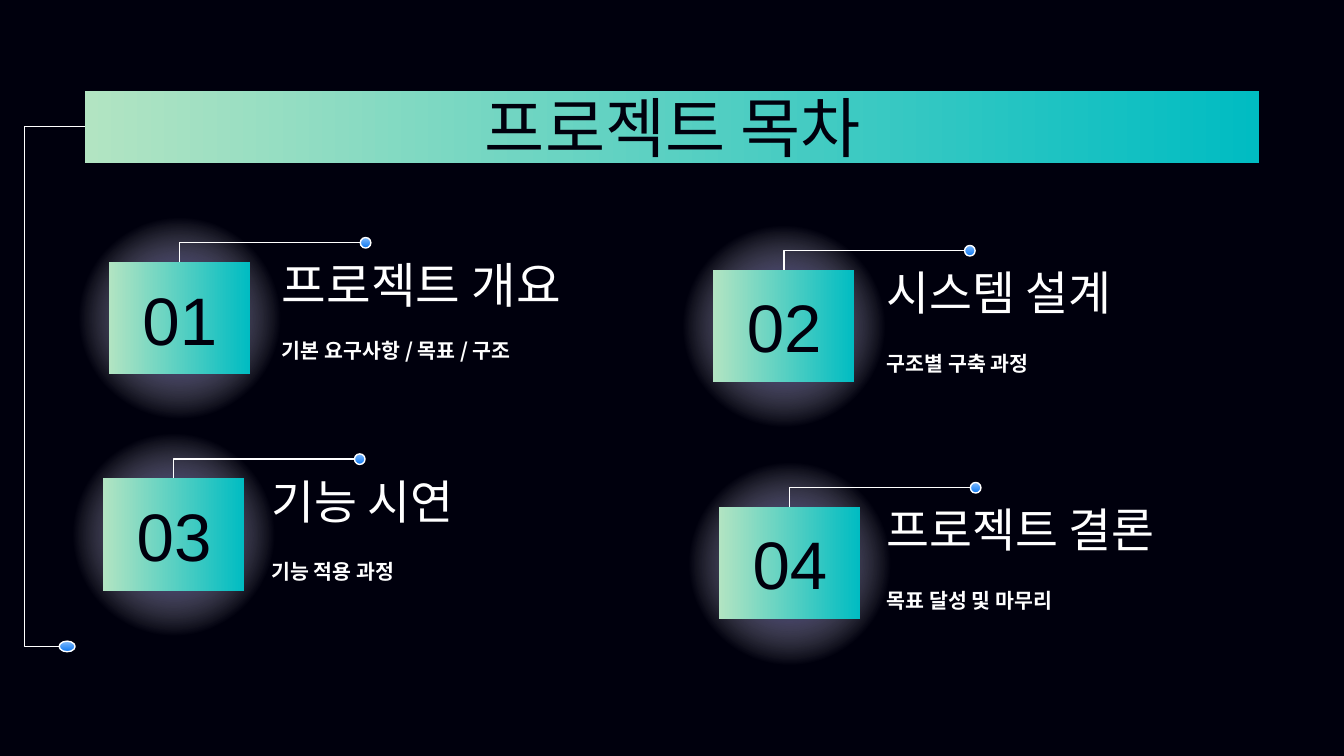
from lxml import etree
from pptx import Presentation
from pptx.dml.color import RGBColor
from pptx.enum.shapes import MSO_CONNECTOR as Link, MSO_SHAPE as Form
from pptx.enum.text import MSO_ANCHOR as Anchor, MSO_AUTO_SIZE as Auto, PP_ALIGN as Align
from pptx.oxml import parse_xml
from pptx.oxml.ns import nsdecls, qn
from pptx.util import Cm, Pt

DARK, WHITE = "00000D", "FFFFFF"
TEAL = ("00BCC2", "B2E4C2", 180)
BLUE = ("82BCFE", "0C77F1", 270)
KOREAN = "Noto Sans CJK KR"

TITLE = "프로젝트 목차"
# number, heading, detail, box corner, text left, heading size, detail drop
ITEMS = [
    ("01", "프로젝트 개요", "기본 요구사항 / 목표 / 구조", (2.06, 4.95), 5.08, 26, 1),
    ("02", "시스템 설계", "구조별 구축 과정", (13.48, 5.1), 16.51, 25, 1.09),
    ("03", "기능 시연", "기능 적용 과정", (1.95, 9.04), 4.88, 25, 1.09),
    ("04", "프로젝트 결론", "목표 달성 및 마무리", (13.59, 9.58), 16.51, 25, 1.09),
]
BOX_W, BOX_H = 2.67, 2.13
GLOW_W, GLOW_H = 4.5, 4.34
DOT = 0.2

GLOW = f"""<a:gradFill {nsdecls("a")} rotWithShape="1"><a:gsLst>
<a:gs pos="0"><a:srgbClr val="170F8D"/></a:gs>
<a:gs pos="61000"><a:srgbClr val="FFFFFF"><a:alpha val="0"/></a:srgbClr></a:gs>
<a:gs pos="100000"><a:srgbClr val="FFFFFF"><a:alpha val="0"/></a:srgbClr></a:gs>
</a:gsLst><a:path path="circle">
<a:fillToRect l="50000" t="50000" r="50000" b="50000"/></a:path></a:gradFill>"""


def color(code):
    return RGBColor.from_string(code)


def shape(form, x, y, w, h, grad=None, edge=False):
    part = slide.shapes.add_shape(form, Cm(x), Cm(y), Cm(w), Cm(h))
    part.shadow.inherit = False
    if edge:
        stroke(part.line)
    else:
        part.line.fill.background()
    if grad:
        part.fill.gradient()
        part.fill.gradient_angle = grad[2]
        for stop, code in zip(part.fill.gradient_stops, grad):
            stop.color.rgb = color(code)
    return part


def stroke(line):
    line.color.rgb = color(WHITE)
    line.width = Pt(0.75)


def glow(x, y):
    part = shape(Form.OVAL, x, y, GLOW_W, GLOW_H)
    part.element.spPr.find(qn("a:prstGeom")).addnext(parse_xml(GLOW))


def elbow(start, end, kind, bend=None):
    """Draw a bent line; bend is the share of its width where it turns."""
    line = slide.shapes.add_connector(Link.ELBOW, *map(Cm, start + end))
    stroke(line.line)
    props = line.element.spPr
    etree.SubElement(props, qn("a:effectLst"))
    geom = props.find(qn("a:prstGeom"))
    geom.set("prst", kind)
    if bend is not None:
        guide = etree.SubElement(geom.find(qn("a:avLst")), qn("a:gd"))
        guide.set("name", "adj1")
        guide.set("fmla", f"val {round(bend * 100000)}")


def write(part, text, align, anchor=Anchor.MIDDLE, **style):
    frame = part.text_frame
    frame.text = text
    layout = dict.fromkeys(("margin_left", "margin_right", "margin_top", "margin_bottom"), Cm(0.25))
    layout |= {"word_wrap": True, "auto_size": Auto.NONE, "vertical_anchor": anchor}
    for key, value in layout.items():
        setattr(frame, key, value)
    para = frame.paragraphs[0]
    para.alignment = align
    font = para.runs[0].font
    font.color.rgb = color(style.pop("code"))
    for key, value in style.items():
        setattr(font, key, value)
    east = etree.SubElement(para.runs[0].font._element, qn("a:ea"))
    east.set("typeface", KOREAN)


def label(x, y, w, h, text, align=Align.LEFT, **style):
    part = slide.shapes.add_textbox(Cm(x), Cm(y), Cm(w), Cm(h))
    write(part, text, align, **style)


def item(num, head, detail, corner, left, size, drop):
    x, y = corner
    mid = x + BOX_W / 2
    glow(mid - GLOW_W / 2, y + BOX_H / 2 - GLOW_H / 2)
    shape(Form.RECTANGLE, x, y, BOX_W, BOX_H, TEAL)
    label(x + 0.22, y + 0.33, 2.24, 1.47, num, Align.CENTER,
          size=Pt(36), name="Arial", code=DARK)
    label(left, y - 0.31, 6.83, 1.47, head, size=Pt(size), name="Calibri", code=WHITE)
    label(left, y + drop, 7.24, 1.35, detail,
          size=Pt(11), name=KOREAN, bold=True, code=WHITE)
    tip, top = x + 4.75, y - 0.36
    elbow((tip, top), (mid, y), "bentConnector2")
    shape(Form.OVAL, tip, top - DOT / 2, DOT, DOT, BLUE, edge=True)


deck = Presentation()
deck.slide_width, deck.slide_height = Cm(25.4), Cm(14.29)
slide = deck.slides.add_slide(deck.slide_layouts[5])
slide.background.fill.solid()
slide.background.fill.fore_color.rgb = color(DARK)

bar = shape(Form.RECTANGLE, 1.6, 1.73, 22.2, 1.35, TEAL)
title = slide.shapes.title
bar.element.addnext(title.element)
title.left, title.top, title.width, title.height = map(Cm, (2.01, 1.4, 21.41, 1.6))
write(title, TITLE, Align.CENTER, Anchor.TOP, size=Pt(35), name="Cabin", code=DARK)

foot, side = (1.12, 12.22), 0.46
join = (1.6, 2.39)
elbow(foot, join, "bentConnector3", (side - foot[0]) / (join[0] - foot[0]))
shape(Form.OVAL, foot[0], foot[1] - DOT / 2, 0.3, DOT, BLUE, edge=True)

for entry in ITEMS:
    item(*entry)

deck.save("out.pptx")
